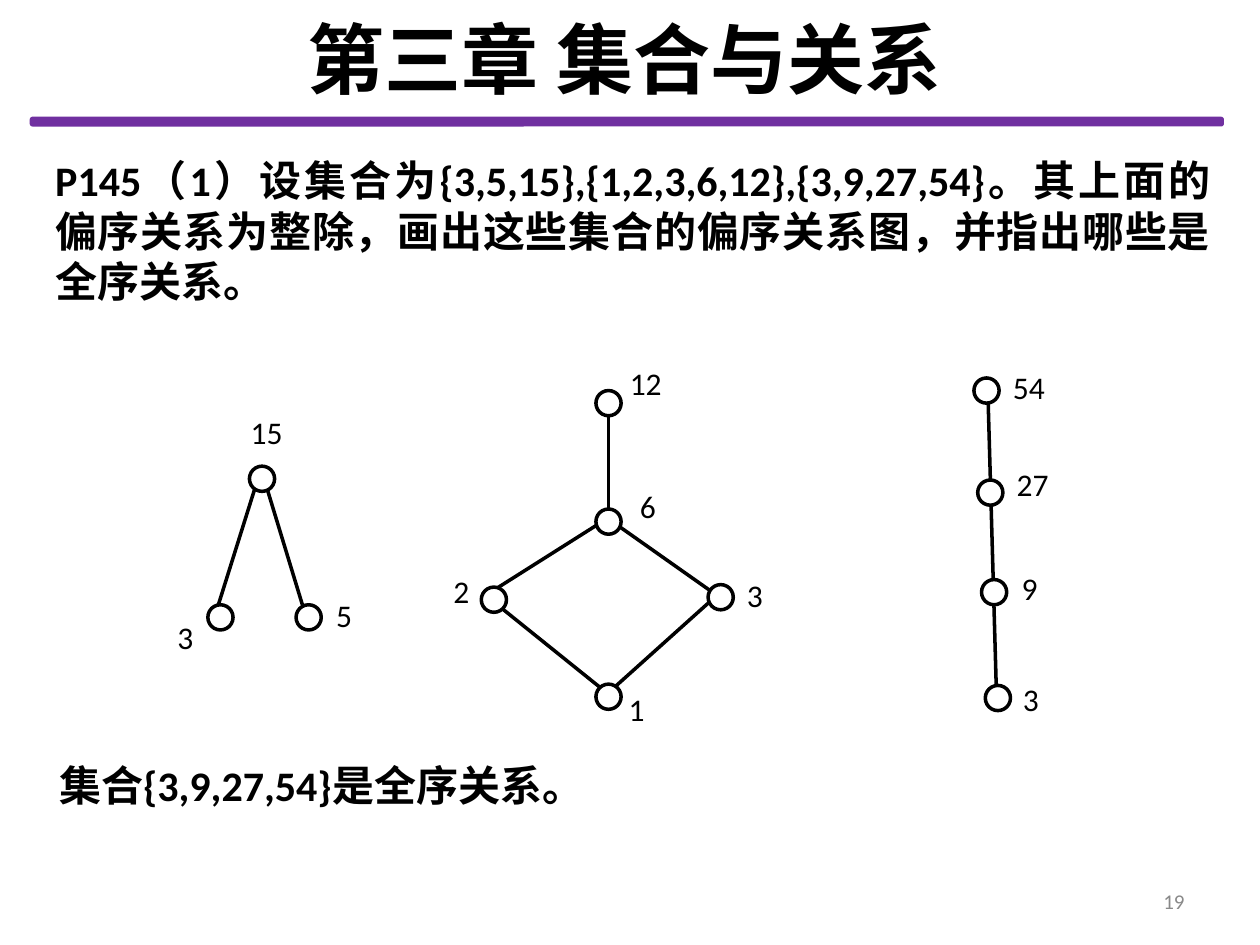
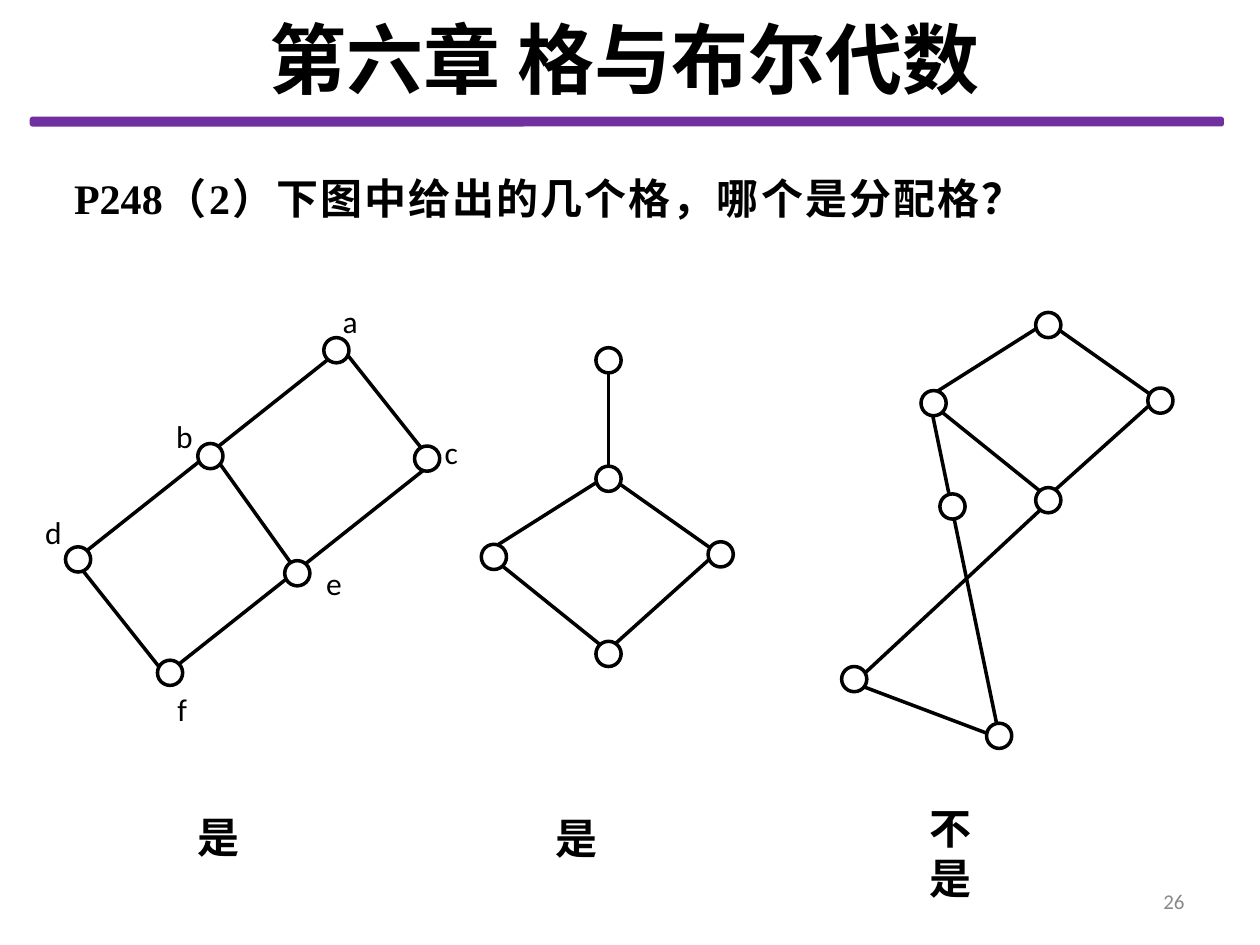
from dataclasses import dataclass

from lxml import etree
from pptx import Presentation, util as u
from pptx.dml.color import RGBColor
from pptx.enum import shapes, text
from pptx.oxml.ns import qn

COLUMNS, ROWS = 100, 75  # every length below counts cells of this grid


@dataclass(frozen=True)
class Theme:
    ink: str = "000000"
    paper: str = "FFFFFF"
    band: str = "7030A0"
    muted: str = "898989"
    title_font: str = "Lato"
    body_font: str = "Calibri"
    serif_font: str = "Times New Roman"
    title_size: int = 44
    body_size: int = 24
    label_size: int = 18
    number_size: int = 12
    stroke: int = 2
    node: float = 2.0


class Board:
    """Draws the elements of one slide after another in a single style."""

    # Diamond, measured from the centre of its top node
    DIAMOND_NODES = [(0, 0), (-9.1, 6.2), (0, 13.9), (8.9, 6)]
    DIAMOND_EDGES = [(-0.5, 0, -9.2, 5.5), (0.3, 0, 8.1, 5.5),
                     (-9.2, 6.3, -0.5, 13.3), (8.1, 6.3, 0.3, 13.3)]

    def __init__(self, deck, theme):
        self.deck, self.theme, self.page = deck, theme, None
        self.cell_x = deck.slide_width / COLUMNS
        self.cell_y = deck.slide_height / ROWS

    def place(self, x, y):
        return round(x * self.cell_x), round(y * self.cell_y)

    def start_page(self, title, number):
        theme = self.theme
        self.page = self.deck.slides.add_slide(self.deck.slide_layouts[6])
        self.textbox(str(number), 71.7, 69.5, 23.3, 4, size=theme.number_size,
                     color=theme.muted, align=text.PP_ALIGN.RIGHT, wrap=True,
                     anchor=text.MSO_ANCHOR.MIDDLE)
        self.textbox(title, 20.3, 0.4, 58.6, 8.4, size=theme.title_size,
                     bold=True, font=theme.title_font,
                     align=text.PP_ALIGN.CENTER)
        self.shape(shapes.MSO_SHAPE.ROUNDED_RECTANGLE, 2.5, 9.4, 94.5, 0.5,
                   fill=theme.band, line=theme.band)

    def textbox(self, words, x, y, width, height, size, font=None, color=None,
                bold=False, align=text.PP_ALIGN.LEFT, spacing=None, wrap=False,
                anchor=text.MSO_ANCHOR.TOP):
        box = self.page.shapes.add_textbox(*self.place(x, y),
                                           *self.place(width, height))
        frame = box.text_frame
        frame.word_wrap = wrap
        frame.vertical_anchor = anchor
        if anchor == text.MSO_ANCHOR.TOP:
            frame.auto_size = text.MSO_AUTO_SIZE.SHAPE_TO_FIT_TEXT
        para = frame.paragraphs[0]
        para.text, para.alignment = words, align
        if spacing:
            para.line_spacing = spacing
        para.font.name = font or self.theme.body_font
        para.font.size, para.font.bold = u.Pt(size), bold
        para.font.color.rgb = RGBColor.from_string(color or self.theme.ink)

    def body(self, words, x, y, width, height=5, **style):
        self.textbox(words, x, y, width, height, self.theme.body_size,
                     bold=True, **style)

    def labels(self, *items):
        for words, x, y in items:
            self.textbox(words, x, y, 1.9 + 1.3 * len(words), 4,
                         self.theme.label_size)

    def shape(self, kind, x, y, width, height, fill=None, line=None, turn=0):
        item = self.page.shapes.add_shape(kind, *self.place(x, y),
                                          *self.place(width, height))
        item.shadow.inherit = False
        item.rotation = turn
        if fill:
            item.fill.solid()
            item.fill.fore_color.rgb = RGBColor.from_string(fill)
        else:
            item.fill.background()
        item.line.color.rgb = RGBColor.from_string(line or self.theme.ink)
        item.line.width = u.Pt(self.theme.stroke)

    def edges(self, *ends):
        for x1, y1, x2, y2 in ends:
            edge = self.page.shapes.add_connector(
                shapes.MSO_CONNECTOR.STRAIGHT,
                *self.place(x1, y1), *self.place(x2, y2))
            edge.line.color.rgb = RGBColor.from_string(self.theme.ink)
            edge.line.width = u.Pt(self.theme.stroke)
            etree.SubElement(edge._element.spPr, qn("a:effectLst"))

    def nodes(self, *centres):
        side = self.theme.node
        for x, y in centres:
            self.shape(shapes.MSO_SHAPE.OVAL, x - side / 2, y - side / 2,
                       side, side, fill=self.theme.paper)

    def diamond(self, x, y, stem=False):
        self.edges(*((x + x1, y + y1, x + x2, y + y2)
                     for x1, y1, x2, y2 in self.DIAMOND_EDGES))
        if stem:
            self.edges((x, y - 9.6, x, y - 1))
            self.nodes((x, y - 9.4))
        self.nodes(*((x + dx, y + dy) for dx, dy in self.DIAMOND_NODES))


def relations_page(board):
    board.start_page("第三章 集合与关系", 19)
    board.body("P145（1）设集合为{3,5,15},{1,2,3,6,12},{3,9,27,54}。"
               "其上面的偏序关系为整除，画出这些集合的偏序关系图，"
               "并指出哪些是全序关系。", 3.4, 11.8, 93.7, 13,
               align=text.PP_ALIGN.JUSTIFY, wrap=True)
    board.body("集合{3,9,27,54}是全序关系。", 3.7, 59.8, 45.2)

    # Chain 3, 9, 27, 54
    board.edges((78.4, 30.9, 79.1, 55.6))
    board.nodes((78.3, 31), (78.6, 39.1), (78.9, 47), (79.2, 55.4))
    board.labels(("54", 79.4, 28.7), ("27", 79.7, 36.4),
                 ("9", 80.1, 44.7), ("3", 80.2, 53.5))

    # Divisors 1, 2, 3, 6, 12
    board.diamond(48.3, 41.4, stem=True)
    board.labels(("12", 49, 28.4), ("6", 49.8, 38.2), ("2", 35, 44.9),
                 ("3", 58.3, 45.2), ("1", 48.9, 54.3))

    # Fork 3, 5, 15
    board.edges((20.5, 37.9, 17.3, 48.1), (20.9, 37.8, 24, 48))
    board.nodes((17.5, 49), (24.5, 49), (20.8, 38))
    board.labels(("15", 18.9, 32.3), ("3", 13.1, 48.6), ("5", 25.7, 46.8))


def lattices_page(board):
    serif = board.theme.serif_font
    board.start_page("第六章 格与布尔代数", 26)
    board.body("P248（2）下图中给出的几个格，哪个是分配格？", 4.9, 11.2, 74, 7,
               font=serif, align=text.PP_ALIGN.JUSTIFY, spacing=1.5, wrap=True)

    # Lattice a to f: a tilted box with one crossing edge
    board.shape(shapes.MSO_SHAPE.RECTANGLE, 6.6, 34.8, 27.1, 11.6, turn=321.6)
    board.edges((23.6, 45.4, 16.8, 35.9))
    board.nodes((26.7, 27.8), (16.7, 36.2), (33.9, 36.4),
                (6.2, 44.4), (23.6, 45.5), (13.5, 53.4))
    board.labels(("a", 26.2, 23.5), ("b", 13, 32.6), ("c", 34.3, 33.9),
                 ("d", 2.6, 40.2), ("e", 24.9, 44.3), ("f", 13.1, 54.3))

    # Diamond with a stem
    board.diamond(48.3, 38, stem=True)

    # Diamond with a crossed tail
    board.edges((73.8, 31.9, 79.3, 58.4), (83.4, 39.7, 67.7, 54.3),
                (68, 54.3, 79.4, 58.6))
    board.diamond(83.2, 25.8)
    board.nodes((75.6, 40.2), (67.8, 53.9), (79.3, 58.4))

    # Verdicts
    for verdict, x, y, width in [("是", 14.7, 63.9, 5.3), ("是", 43.1, 64, 5.3),
                                 ("不是", 72.8, 63.2, 8.6)]:
        board.body(verdict, x, y, width, font=serif)


def main():
    deck = Presentation()
    deck.slide_width, deck.slide_height = u.Inches(10), u.Inches(7.5)
    board = Board(deck, Theme())
    relations_page(board)
    lattices_page(board)
    deck.save("out.pptx")


if __name__ == "__main__":
    main()
